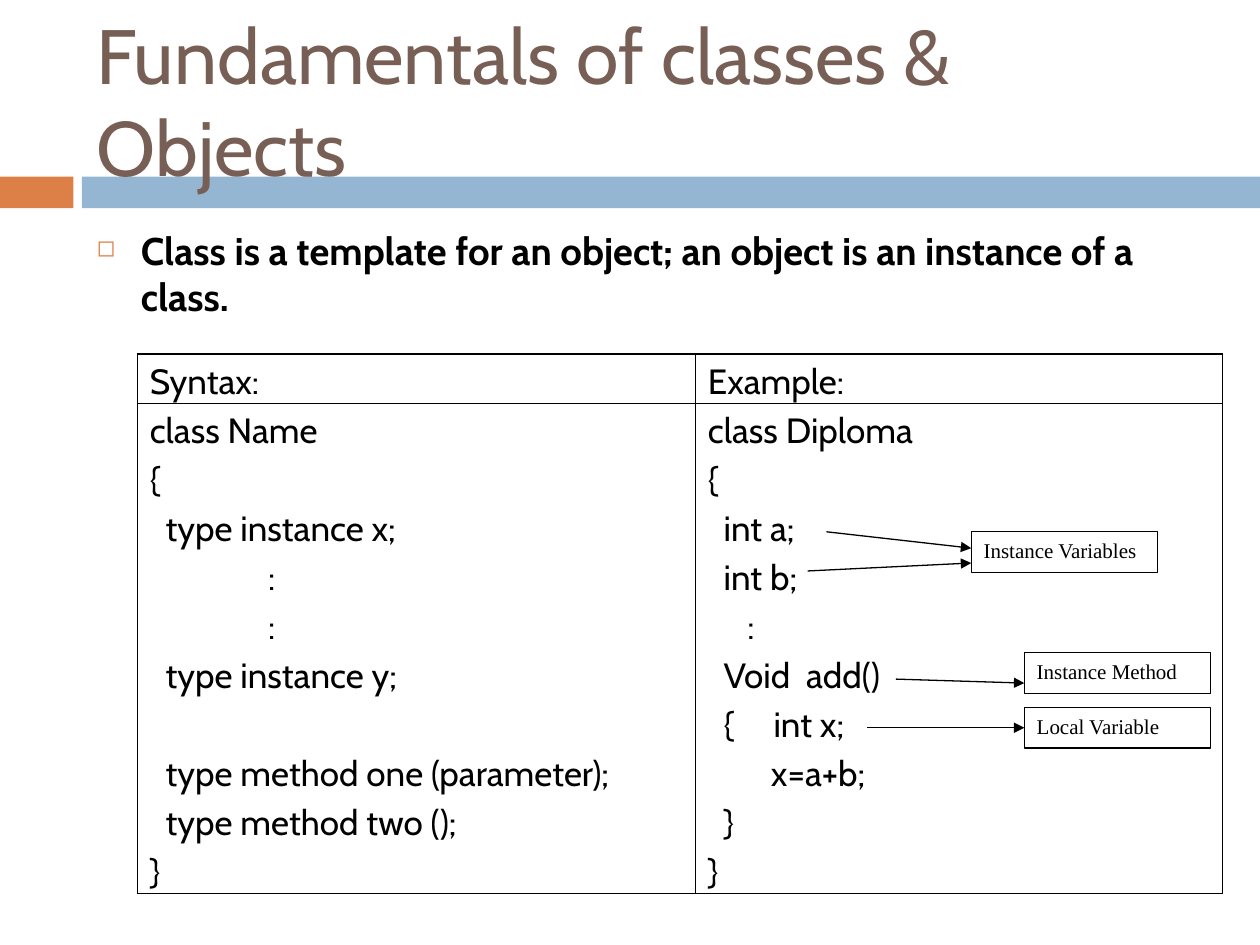
"""Build a slide on the fundamentals of classes and objects."""
from dataclasses import dataclass

from lxml import etree
from pptx import Presentation
from pptx.dml.color import RGBColor
from pptx.enum.shapes import MSO_CONNECTOR, MSO_SHAPE
from pptx.enum.text import MSO_ANCHOR, PP_ALIGN
from pptx.oxml.ns import qn
from pptx.util import Cm, Pt

RECTANGLE = MSO_SHAPE.RECTANGLE
STRAIGHT = MSO_CONNECTOR.STRAIGHT
TOP, MIDDLE = MSO_ANCHOR.TOP, MSO_ANCHOR.MIDDLE
LEFT, JUSTIFY = PP_ALIGN.LEFT, PP_ALIGN.JUSTIFY
LEFT_SIDE = 1


@dataclass(frozen=True)
class Theme:
    orange: RGBColor = RGBColor(0xDD, 0x80, 0x47)
    blue: RGBColor = RGBColor(0x94, 0xB6, 0xD2)
    brown: RGBColor = RGBColor(0x77, 0x5F, 0x55)
    black: RGBColor = RGBColor(0, 0, 0)
    font: str = "Cabin"
    label_font: str = "Times New Roman"
    title_size: int = 44
    body_size: int = 22
    code_size: int = 20
    label_size: int = 12
    code_line: int = 28


theme = Theme()


def add_span(para, text, size, color=theme.black, font=theme.font, bold=False):
    span = para.add_run()
    span.text = text
    span.font.size = Pt(size)
    span.font.name = font
    span.font.color.rgb = color
    span.font.bold = bold


deck = Presentation()
deck.slide_width, deck.slide_height = Cm(25.4), Cm(19.05)
page = deck.slides.add_slide(deck.slide_layouts[6])

for left, width, color in ((0, 1.48, theme.orange), (1.65, 23.75, theme.blue)):
    band = page.shapes.add_shape(RECTANGLE, Cm(left), Cm(3.56), Cm(width), Cm(0.64))
    band.shadow.inherit = False
    band.fill.solid()
    band.fill.fore_color.rgb = color
    band.line.fill.background()

title = page.shapes.add_textbox(Cm(1.7), Cm(0.64), Cm(22.66), Cm(2.74)).text_frame
title.word_wrap = True
title.vertical_anchor = MIDDLE
add_span(title.paragraphs[0], "Fundamentals of classes & Objects", theme.title_size, theme.brown)

body = page.shapes.add_textbox(Cm(1.7), Cm(4.45), Cm(22.66), Cm(12.5)).text_frame
body.word_wrap = True
para = body.paragraphs[0]
props = para._p.get_or_add_pPr()
props.set("marL", str(Cm(0.89)))
props.set("indent", str(Cm(-0.89)))
bullet_color = etree.SubElement(props, qn("a:buClr"))
etree.SubElement(bullet_color, qn("a:srgbClr"), val=str(theme.orange))
etree.SubElement(props, qn("a:buSzPct"), val="60000")
etree.SubElement(props, qn("a:buChar"), char="◻")
add_span(para, "Class is a template for an object; an object is an instance of a class.",
         theme.body_size, bold=True)

syntax_code = """class Name
{
  type instance x;
               :
               :
  type instance y;

  type method one (parameter);
  type method two ();
}"""
example_code = """class Diploma
{
  int a;
  int b;
     :
  Void  add()
  {     int x;
        x=a+b;
  }
}"""
rows = (("Syntax:", "Example:"), (syntax_code, example_code))

table = page.shapes.add_table(2, 2, Cm(2.77), Cm(7.14), Cm(21.87), Cm(10.87)).table
for column, width in zip(table.columns, (11.25, 10.62)):
    column.width = Cm(width)
for row, height in zip(table.rows, (0.99, 9.88)):
    row.height = Cm(height)

for row, texts in zip(table.rows, rows):
    for cell, text in zip(row.cells, texts):
        cell.margin_left = cell.margin_right = Cm(0.25)
        cell.margin_top = cell.margin_bottom = 0
        for side in ("L", "R", "T", "B"):
            border = etree.SubElement(cell._tc.get_or_add_tcPr(), qn(f"a:ln{side}"), w=str(Pt(1)))
            paint = etree.SubElement(border, qn("a:solidFill"))
            etree.SubElement(paint, qn("a:srgbClr"), val=str(theme.black))
        cell.fill.background()
        para, gap = cell.text_frame.paragraphs[0], 0
        for number, line in enumerate(text.split("\n")):
            if not line:
                gap = theme.code_line
                continue
            if number:
                para = cell.text_frame.add_paragraph()
                para.space_before = Pt(gap)
            para.alignment = JUSTIFY
            para.line_spacing = 1.15
            add_span(para, line, theme.code_size)
            gap = 0

labels = {}
for text, left, top in (
    ("Instance Variables", 19.58, 10.72),
    ("Instance Method", 20.65, 13.16),
    ("Local Variable", 20.65, 14.26),
):
    box = page.shapes.add_shape(RECTANGLE, Cm(left), Cm(top), Cm(3.76), Cm(0.82))
    box.shadow.inherit = False
    box.fill.background()
    box.line.color.rgb = theme.black
    box.line.width = Pt(0.75)
    box.text_frame.vertical_anchor = TOP
    para = box.text_frame.paragraphs[0]
    para.alignment = LEFT
    add_span(para, text, theme.label_size, font=theme.label_font)
    labels[text] = box

for x, y, name, end_y in (
    (16.66, 10.72, "Instance Variables", 11.05),
    (16.28, 11.51, "Instance Variables", 11.35),
    (18.06, 13.69, "Instance Method", 13.77),
    (17.48, 14.67, "Local Variable", 14.67),
):
    box = labels[name]
    arrow = page.shapes.add_connector(STRAIGHT, Cm(x), Cm(y), box.left, Cm(end_y))
    if name == "Local Variable":
        arrow.end_connect(box, LEFT_SIDE)
    arrow.line.color.rgb = theme.black
    arrow.line.width = Pt(0.75)
    etree.SubElement(arrow.line._get_or_add_ln(), qn("a:tailEnd"), type="triangle")
    etree.SubElement(arrow._element.spPr, qn("a:effectLst"))

deck.save("out.pptx")
